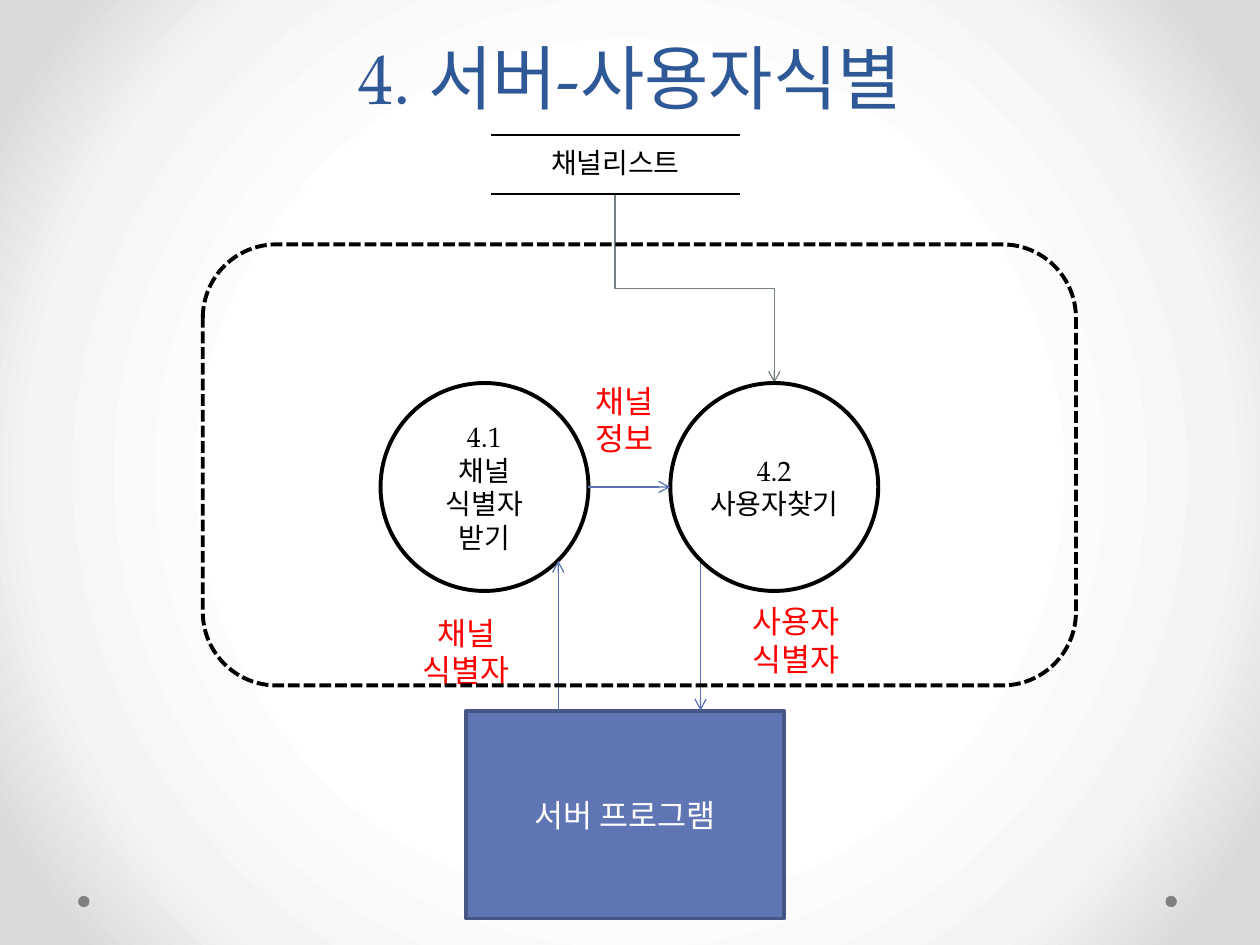
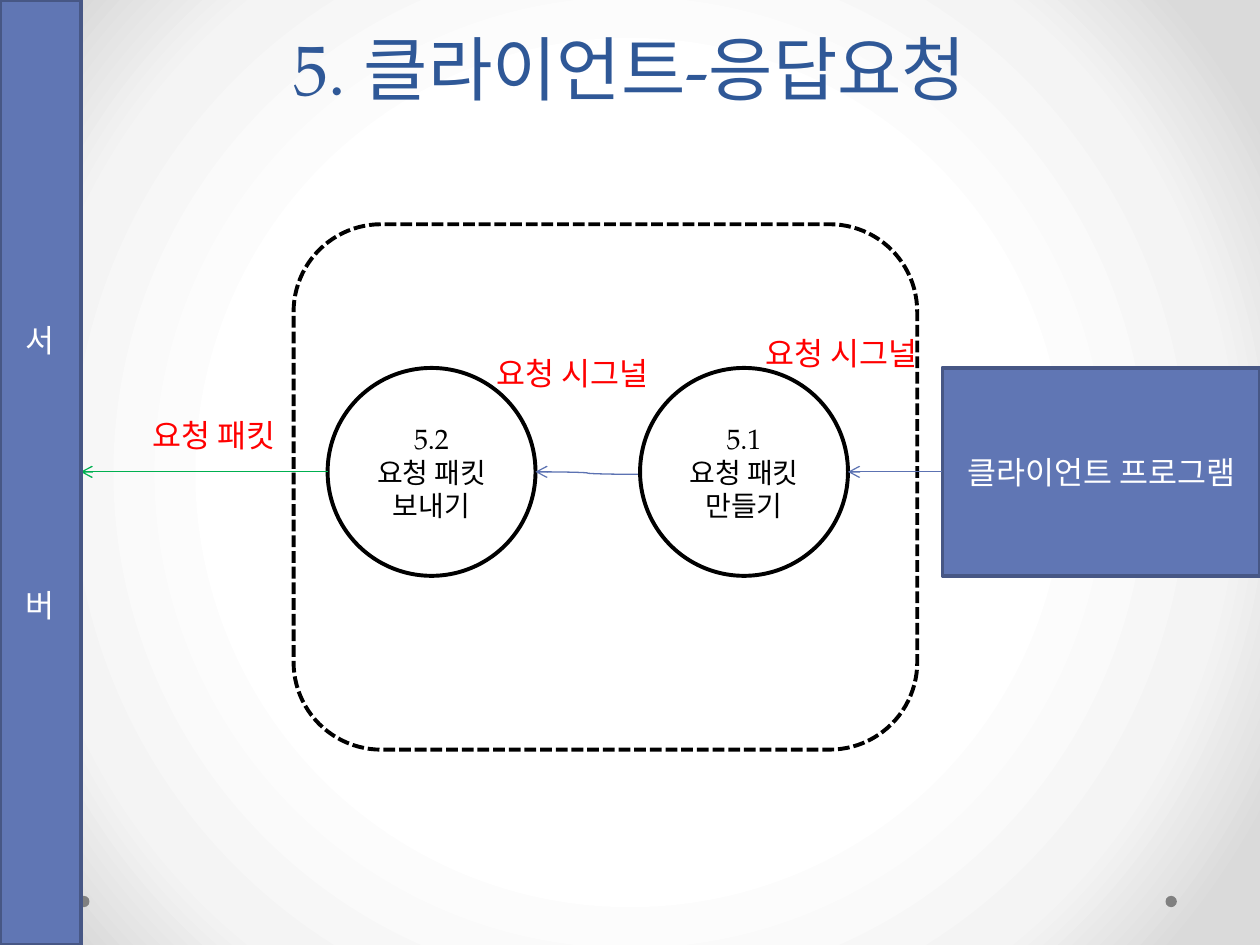
"""Build two data-flow slides: user lookup on the server, request on the client."""
from pptx import Presentation
from pptx.dml.color import RGBColor
from pptx.enum.dml import MSO_LINE
from pptx.enum.shapes import MSO_CONNECTOR, MSO_SHAPE
from pptx.enum.text import MSO_ANCHOR, MSO_AUTO_SIZE, PP_ALIGN
from pptx.oxml import parse_xml
from pptx.oxml.ns import nsdecls
from pptx.util import Inches, Pt

OVAL, RECT, ROUND = MSO_SHAPE.OVAL, MSO_SHAPE.RECTANGLE, MSO_SHAPE.ROUNDED_RECTANGLE
LINE, ELBOW, CURVE = MSO_CONNECTOR.STRAIGHT, MSO_CONNECTOR.ELBOW, MSO_CONNECTOR.CURVE
DASH = MSO_LINE.SQUARE_DOT
LEFT, CENTER = PP_ALIGN.LEFT, PP_ALIGN.CENTER
TOP, MIDDLE, BOTTOM = MSO_ANCHOR.TOP, MSO_ANCHOR.MIDDLE, MSO_ANCHOR.BOTTOM
GROW = MSO_AUTO_SIZE.SHAPE_TO_FIT_TEXT

FONT = "TeX Gyre Pagella"
BLACK = RGBColor(0x00, 0x00, 0x00)
WHITE = RGBColor(0xFF, 0xFF, 0xFF)
NAVY = RGBColor(0x2F, 0x58, 0x97)
BLUE = RGBColor(0x60, 0x76, 0xB4)
EDGE = RGBColor(0x47, 0x57, 0x85)
FLOW = RGBColor(0x5C, 0x72, 0xB2)
SLATE = RGBColor(0x75, 0x80, 0x85)
GREEN = RGBColor(0x00, 0xB0, 0x50)
RED = RGBColor(0xFF, 0x00, 0x00)
GRAY = RGBColor(0x80, 0x80, 0x80)
GLOW = ((50, WHITE), (76, RGBColor(0xF4, 0xF4, 0xF4)), (92, RGBColor(0xDA, 0xDA, 0xDA)))

COLS, ROWS = 10, 7.5
UNIT = Inches(1)
BALL = 1.65
BOX = 2.52
BAND = 0.64


def grid(*cells):
    """Turn grid columns and rows into slide lengths."""
    return [round(cell * UNIT) for cell in cells]


def write(frame, lines, size, color, align=CENTER, anchor=MIDDLE):
    """Write each line as a paragraph with one run and return the paragraphs."""
    frame.word_wrap = True
    frame.vertical_anchor = anchor
    for i, line in enumerate(lines):
        para = frame.add_paragraph() if i else frame.paragraphs[0]
        para.alignment = align
        run = para.add_run()
        run.text = line
        run.font.name, run.font.size = FONT, Pt(size)
        run.font.color.rgb = color
    return frame.paragraphs


def shape(slide, kind, area, fill=None, edge=None):
    """Add a flat preset shape with an optional fill and edge."""
    item = slide.shapes.add_shape(kind, *grid(*area))
    item.shadow.inherit = False
    if fill is None:
        item.fill.background()
    else:
        item.fill.solid()
        item.fill.fore_color.rgb = fill
    if edge is None:
        item.line.fill.background()
    else:
        item.line.color.rgb = edge
        item.line.width = Pt(2.25)
    return item


def ball(slide, x, y, *lines):
    """Add a process circle."""
    frame = shape(slide, OVAL, (x, y, BALL, BALL), WHITE, BLACK).text_frame
    frame.margin_left = frame.margin_right = Inches(0.04)
    frame.margin_top = frame.margin_bottom = Inches(0.04)
    write(frame, lines, 16, BLACK)


def block(slide, area, *lines):
    """Add a blue program block and return its paragraphs."""
    frame = shape(slide, RECT, area, BLUE, EDGE).text_frame
    return write(frame, lines, 18, WHITE)


def scope(slide, *area):
    """Add the dashed outline around the processes."""
    shape(slide, ROUND, area, edge=BLACK).line.dash_style = DASH


def label(slide, area, *lines, align=CENTER):
    """Add a red data label."""
    frame = slide.shapes.add_textbox(*grid(*area)).text_frame
    frame.auto_size = GROW
    write(frame, lines, 18, RED, align, TOP)


def arrow(slide, start, end, color=FLOW, kind=LINE):
    """Add a thin connector with an open head at its end."""
    link = slide.shapes.add_connector(kind, *grid(*start, *end))
    link.line.color.rgb = color
    link.line.width = Pt(0.75)
    link.line._get_or_add_ln().append(
        parse_xml(f'<a:tailEnd {nsdecls("a")} type="arrow"/>'))
    link._element.spPr.append(parse_xml(f'<a:effectLst {nsdecls("a")}/>'))
    return link


def drop(slide, start, end, color):
    """Add an elbow arrow that leaves and arrives vertically."""
    link = arrow(slide, start, end, color, ELBOW)
    wide, high = link.width, link.height
    link.left += (wide - high) // 2
    link.top += (high - wide) // 2
    link.width, link.height = high, wide
    turn = link._element.spPr.find("{*}xfrm")
    turn.set("rot", "16200000")
    turn.set("flipH", "1")


def store(slide, area, text):
    """Add a data store: one table cell ruled above and below."""
    table = slide.shapes.add_table(1, 1, *grid(*area)).table
    table.first_row = table.horz_banding = False
    cell = table.cell(0, 0)
    cell.fill.background()
    write(cell.text_frame, [text], 16, BLACK)
    cell.vertical_anchor = TOP
    ink = f'<a:solidFill><a:srgbClr val="{BLACK}"/></a:solidFill>'
    for i, side in enumerate("LRTB"):
        paint = ink if side in "TB" else "<a:noFill/>"
        cell._tc.tcPr.insert(i, parse_xml(
            f'<a:ln{side} {nsdecls("a")} w="{Pt(1)}">{paint}</a:ln{side}>'))


def glow(master):
    """Give the master its round gradient background."""
    master.background.fill.solid()
    stops = "".join(f'<a:gs pos="{pos * 1000}"><a:srgbClr val="{color}"/></a:gs>'
                    for pos, color in GLOW)
    back = master.element.xpath(".//p:bgPr")[0]
    back.replace(back[0], parse_xml(
        f'<a:gradFill {nsdecls("a")} rotWithShape="1"><a:gsLst>{stops}</a:gsLst>'
        '<a:path path="circle"><a:fillToRect l="50000" t="50000" r="50000" b="50000"/>'
        '</a:path></a:gradFill>'))


def page(prs, text, high):
    """Add a slide with its title and the two corner dots."""
    slide = prs.slides.add_slide(prs.slide_layouts[5])
    title = slide.shapes.title
    title.left, title.top, title.width, title.height = grid(0.5, 0, COLS - 1, high)
    write(title.text_frame, [text], 40, NAVY, anchor=BOTTOM)[0].line_spacing = Pt(58)
    for x in (9.25, 0.62):
        shape(slide, OVAL, (x, 7.11, 0.09, 0.09), GRAY)
    return slide


def server(prs):
    """Build the slide on user lookup."""
    slide = page(prs, "4. 서버-사용자식별", 0.99)
    left, right, top, base = 3.02, 5.32, 3.04, 5.64
    mid = top + BALL / 2
    ball(slide, left, top, "4.1", "채널", "식별자", "받기")
    block(slide, (3.7, base, BOX, BALL), "서버 프로그램")
    drop(slide, (4.88, 1.54), (right + BALL / 2, top), SLATE)
    label(slide, (2.95, 4.82, 1.5, 0.71), "채널", "식별자")
    label(slide, (5.57, 4.73, 1.5, 0.71), "사용자", "식별자")
    arrow(slide, (4.43, base), (4.43, 4.45))
    arrow(slide, (5.56, 4.45), (5.56, base))
    scope(slide, 1.61, 1.94, 6.93, 3.5)
    store(slide, (3.9, 1.07, 1.97, 0.47), "채널리스트")
    ball(slide, right, top, "4.2", "사용자찾기")
    arrow(slide, (left + BALL, mid), (right, mid))
    label(slide, (4.21, 2.98, 1.5, 0.71), "채널", "정보")


def client(prs):
    """Build the slide on the client request."""
    slide = page(prs, "5. 클라이언트-응답요청", 0.92)
    left, right, top = 2.6, 5.08, 2.92
    mid, edge = top + BALL / 2, COLS - BOX
    ball(slide, left, top, "5.2", "요청 패킷 보내기")
    block(slide, (edge, top, BOX, BALL), "클라이언트 프로그램")
    arrow(slide, (right, mid + 0.02), (left + BALL, mid), kind=CURVE)
    arrow(slide, (left, mid), (BAND, mid), GREEN)
    label(slide, (1.11, 3.25, 1.5, 0.4), "요청 패킷", align=LEFT)
    label(slide, (5.98, 2.6, 1.65, 0.4), "요청 시그널", align=LEFT)
    scope(slide, 2.33, 1.78, 4.95, 4.17)
    block(slide, (0, 0, BAND, ROWS), "서", "버")[1].space_before = Pt(130)
    ball(slide, right, top, "5.1", "요청 패킷 만들기")
    arrow(slide, (edge, mid), (right + BALL, mid))
    label(slide, (3.84, 2.76, 1.65, 0.4), "요청 시그널", align=LEFT)


def main():
    """Build and save the deck."""
    prs = Presentation()
    prs.slide_width, prs.slide_height = grid(COLS, ROWS)
    glow(prs.slide_master)
    server(prs)
    client(prs)
    prs.save("out.pptx")


if __name__ == "__main__":
    main()
